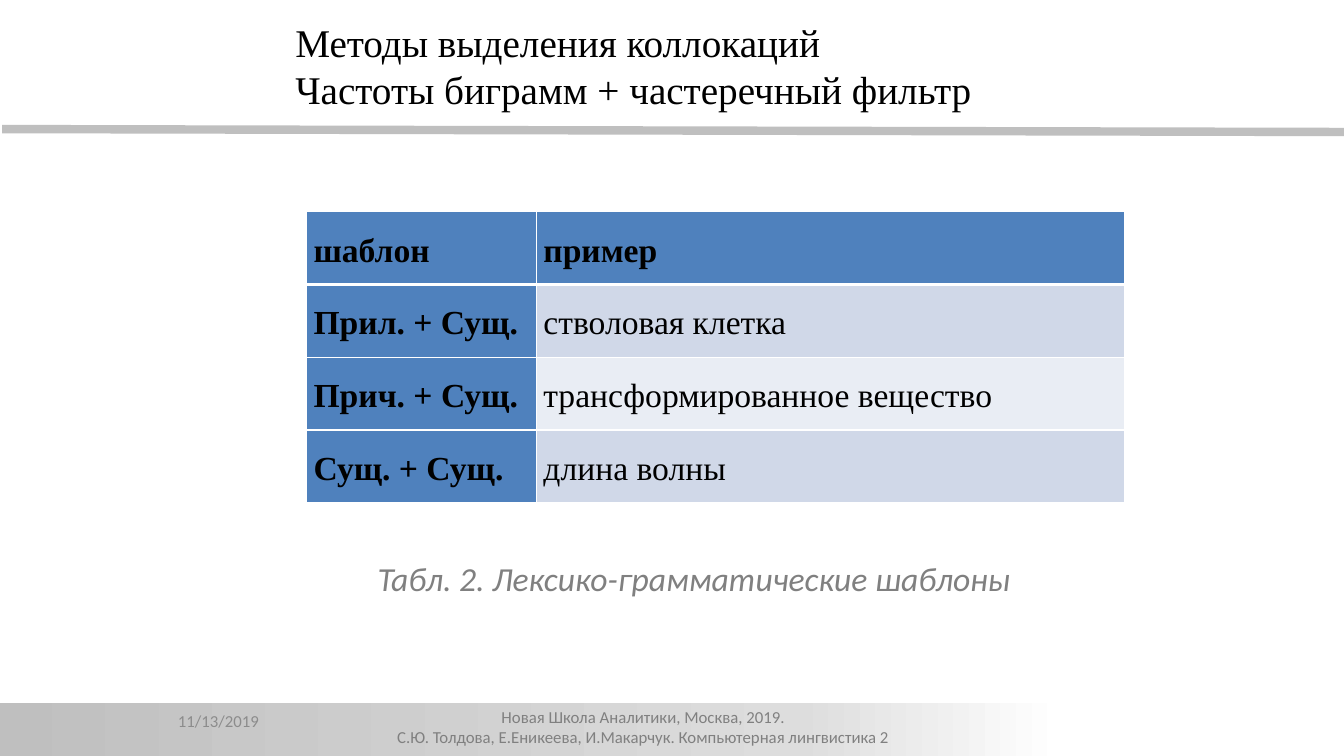
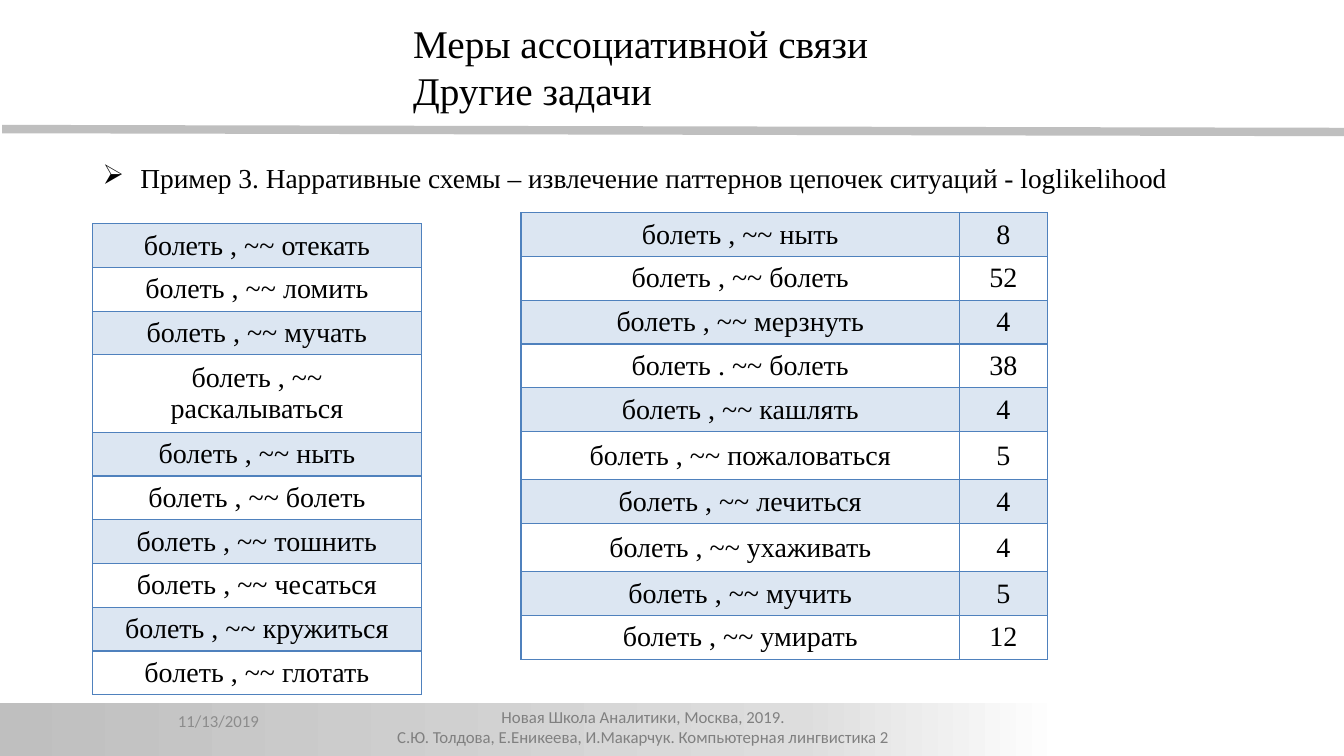
from lxml import etree
from pptx import Presentation
from pptx.dml.color import RGBColor
from pptx.enum.shapes import MSO_CONNECTOR, MSO_SHAPE
from pptx.enum.text import MSO_ANCHOR, PP_ALIGN
from pptx.oxml import parse_xml
from pptx.oxml.ns import nsdecls, qn
from pptx.util import Pt

# Shared colours and fonts
BLACK = RGBColor(0x00, 0x00, 0x00)
WHITE = RGBColor(0xFF, 0xFF, 0xFF)
RULE_GREY = RGBColor(0xBF, 0xBF, 0xBF)
BAND_GREY = RGBColor(0xDD, 0xDD, 0xDD)
FOOTER_GREY = RGBColor(0x80, 0x80, 0x80)
DATE_GREY = RGBColor(0x8C, 0x8C, 0x8C)
BLUE = RGBColor(0x4F, 0x81, 0xBD)
PALE_BLUE = RGBColor(0xDC, 0xE6, 0xF2)
DARK_STRIPE = RGBColor(0xD0, 0xD8, 0xE8)
LIGHT_STRIPE = RGBColor(0xE9, 0xED, 0xF4)
SERIF = "Times New Roman"
SANS = "Calibri"

# Content
FOOTER_LINES = [
    "Новая Школа Аналитики, Москва, 2019.",
    "С.Ю. Толдова, Е.Еникеева, И.Макарчук. Компьютерная лингвистика 2",
]
PATTERNS = [
    ("шаблон", "пример"),
    ("Прил. + Сущ.", "стволовая клетка"),
    ("Прич. + Сущ.", "трансформированное вещество"),
    ("Сущ. + Сущ.", "длина волны"),
]
CHAINS = [(f"болеть , ~~ {verb}",) for verb in (
    "отекать", "ломить", "мучать", "раскалываться", "ныть",
    "болеть", "тошнить", "чесаться", "кружиться", "глотать")]
COUNTS = [
    ("болеть , ~~ ныть", "8"),
    ("болеть , ~~ болеть", "52"),
    ("болеть , ~~ мерзнуть", "4"),
    ("болеть . ~~ болеть", "38"),
    ("болеть , ~~ кашлять", "4"),
    ("болеть , ~~ пожаловаться", "5"),
    ("болеть , ~~ лечиться", "4"),
    ("болеть , ~~ ухаживать", "4"),
    ("болеть , ~~ мучить", "5"),
    ("болеть , ~~ умирать", "12"),
]


def style_font(paragraph, size, name=SERIF, color=BLACK, bold=False, italic=False):
    font = paragraph.font
    font.size, font.name = Pt(size), name
    font.bold, font.italic = bold, italic
    font.color.rgb = color


def add_text(slide, box, lines, size, name=SERIF, color=BLACK, italic=False,
             align=PP_ALIGN.LEFT, anchor=MSO_ANCHOR.TOP, wrap=True):
    """Place lines of text in box (left, top, width, height) and return the paragraphs."""
    frame = slide.shapes.add_textbox(*map(Pt, box)).text_frame
    frame.word_wrap = wrap
    frame.vertical_anchor = anchor
    frame.text = "\n".join(lines)
    for paragraph in frame.paragraphs:
        paragraph.alignment = align
        style_font(paragraph, size, name, color, italic=italic)
    return frame.paragraphs


def set_indent(paragraph, margin, first_line):
    properties = paragraph._p.get_or_add_pPr()
    properties.set("marL", str(Pt(margin)))
    properties.set("indent", str(Pt(first_line)))
    return properties


def add_frame(slide):
    """Rule under the title, footer band, footer text and date."""
    rule = slide.shapes.add_connector(
        MSO_CONNECTOR.STRAIGHT, Pt(1.5), Pt(92.2), Pt(961), Pt(94.3))
    rule.line.color.rgb = RULE_GREY
    rule.line.width = Pt(6)
    etree.SubElement(rule._element.spPr, qn("a:effectLst"))

    band = slide.shapes.add_shape(
        MSO_SHAPE.RECTANGLE, Pt(-0.7), Pt(502), Pt(760), Pt(41))
    band.shadow.inherit = False
    band.line.fill.background()
    band.fill.gradient()
    band.fill.gradient_angle = 0
    stops = band._element.spPr.find(qn("a:gradFill")).find(qn("a:gsLst"))
    for stop in list(stops):
        stops.remove(stop)
    for percent, color in ((0, RULE_GREY), (75, BAND_GREY), (100, WHITE)):
        stops.append(parse_xml(
            f'<a:gs {nsdecls("a")} pos="{percent * 1000}"><a:srgbClr val="{color}"/></a:gs>'))

    add_text(slide, (183, 501, 553, 32.4), FOOTER_LINES, 12, SANS, FOOTER_GREY,
             align=PP_ALIGN.CENTER)
    add_text(slide, (120, 500.4, 168, 28.8), ["11/13/2019"], 12, SANS, DATE_GREY,
             anchor=MSO_ANCHOR.MIDDLE)


def add_title(slide, box, lines):
    add_text(slide, box, lines, 28)


def set_borders(cell, color, widths):
    """Draw the left, right, top and bottom borders with the given widths."""
    properties = cell._tc.get_or_add_tcPr()
    for side, width in zip(("lnL", "lnR", "lnT", "lnB"), widths):
        properties.append(parse_xml(
            f'<a:{side} {nsdecls("a")} w="{Pt(width)}"><a:solidFill>'
            f'<a:srgbClr val="{color}"/></a:solidFill></a:{side}>'))


def add_grid(slide, left, top, column_widths, row_heights, rows):
    """Add an unstyled table and yield each cell with its row, column and paragraph."""
    table = slide.shapes.add_table(
        len(rows), len(column_widths), Pt(left), Pt(top),
        Pt(sum(column_widths)), Pt(sum(row_heights))).table
    table.first_row = table.horz_banding = False
    for column, width in zip(table.columns, column_widths):
        column.width = Pt(width)
    for row, height in zip(table.rows, row_heights):
        row.height = Pt(height)
    for row_index, values in enumerate(rows):
        for column_index, value in enumerate(values):
            cell = table.cell(row_index, column_index)
            cell.text = value
            cell.vertical_anchor = MSO_ANCHOR.MIDDLE
            yield cell, row_index, column_index, cell.text_frame.paragraphs[0]


def add_pattern_table(slide, left, top):
    """Table with a blue header row and a blue first column."""
    grid = add_grid(slide, left, top, [164.2, 419.8], [52] * 4, PATTERNS)
    for cell, row, column, paragraph in grid:
        is_header = row == 0 or column == 0
        cell.margin_left = cell.margin_right = Pt(5)
        cell.margin_top = cell.margin_bottom = Pt(0)
        set_borders(cell, WHITE, (1, 1, 3 if row == 1 else 1, 3 if row == 0 else 1))
        cell.fill.solid()
        cell.fill.fore_color.rgb = (
            BLUE if is_header else DARK_STRIPE if row % 2 else LIGHT_STRIPE)
        paragraph.line_spacing = 1.15
        style_font(paragraph, 24, bold=is_header)


def add_striped_table(slide, left, top, column_widths, row_heights, rows):
    """Centred table whose every other row is pale blue."""
    for cell, row, _, paragraph in add_grid(
            slide, left, top, column_widths, row_heights, rows):
        set_borders(cell, BLUE, (1, 1, 1, 1))
        cell.fill.solid()
        cell.fill.fore_color.rgb = WHITE if row % 2 else PALE_BLUE
        paragraph.alignment = PP_ALIGN.CENTER
        style_font(paragraph, 20)


def build_pattern_slide(slide):
    add_frame(slide)
    add_pattern_table(slide, 219, 151.2)
    caption = add_text(
        slide, (224.6, 394.6, 507, 36), ["Табл. 2. Лексико-грамматические шаблоны"],
        24, SANS, FOOTER_GREY, italic=True, align=PP_ALIGN.CENTER,
        anchor=MSO_ANCHOR.MIDDLE, wrap=False)[0]
    set_indent(caption, 0, 35.3)
    add_title(slide, (203.8, 9.4, 567, 75),
              ["Методы выделения коллокаций", "Частоты биграмм + частеречный фильтр"])


def build_association_slide(slide):
    add_frame(slide)
    # Bulleted lead line
    lead = add_text(
        slide, (66.2, 111.6, 850, 36),
        ["Пример 3. Нарративные схемы – извлечение паттернов цепочек ситуаций"
         " - loglikelihood"], 19.6)[0]
    lead.space_before = Pt(4)
    properties = set_indent(lead, 27, -27)
    bullet = parse_xml(f'<a:buChar {nsdecls("a")} char="➢"/>')
    properties.insert_element_before(bullet, "a:tabLst", "a:defRPr", "a:extLst")

    add_title(slide, (288, 10.1, 420, 75), ["Меры ассоциативной связи", "Другие задачи"])

    # Verb chains, and chains with their counts
    chain_heights = [55.2 if row == 3 else 31.2 for row in range(len(CHAINS))]
    count_heights = [34.5 if row in (5, 7) else 31.2 for row in range(len(COUNTS))]
    add_striped_table(slide, 66.2, 159.8, [234.7], chain_heights, CHAINS)
    add_striped_table(slide, 372.2, 152, [313.2, 62.6], count_heights, COUNTS)


def main():
    presentation = Presentation()
    presentation.slide_width, presentation.slide_height = Pt(960), Pt(540)
    blank = presentation.slide_layouts[6]
    for build in (build_pattern_slide, build_association_slide):
        build(presentation.slides.add_slide(blank))
    presentation.save("out.pptx")


if __name__ == "__main__":
    main()
